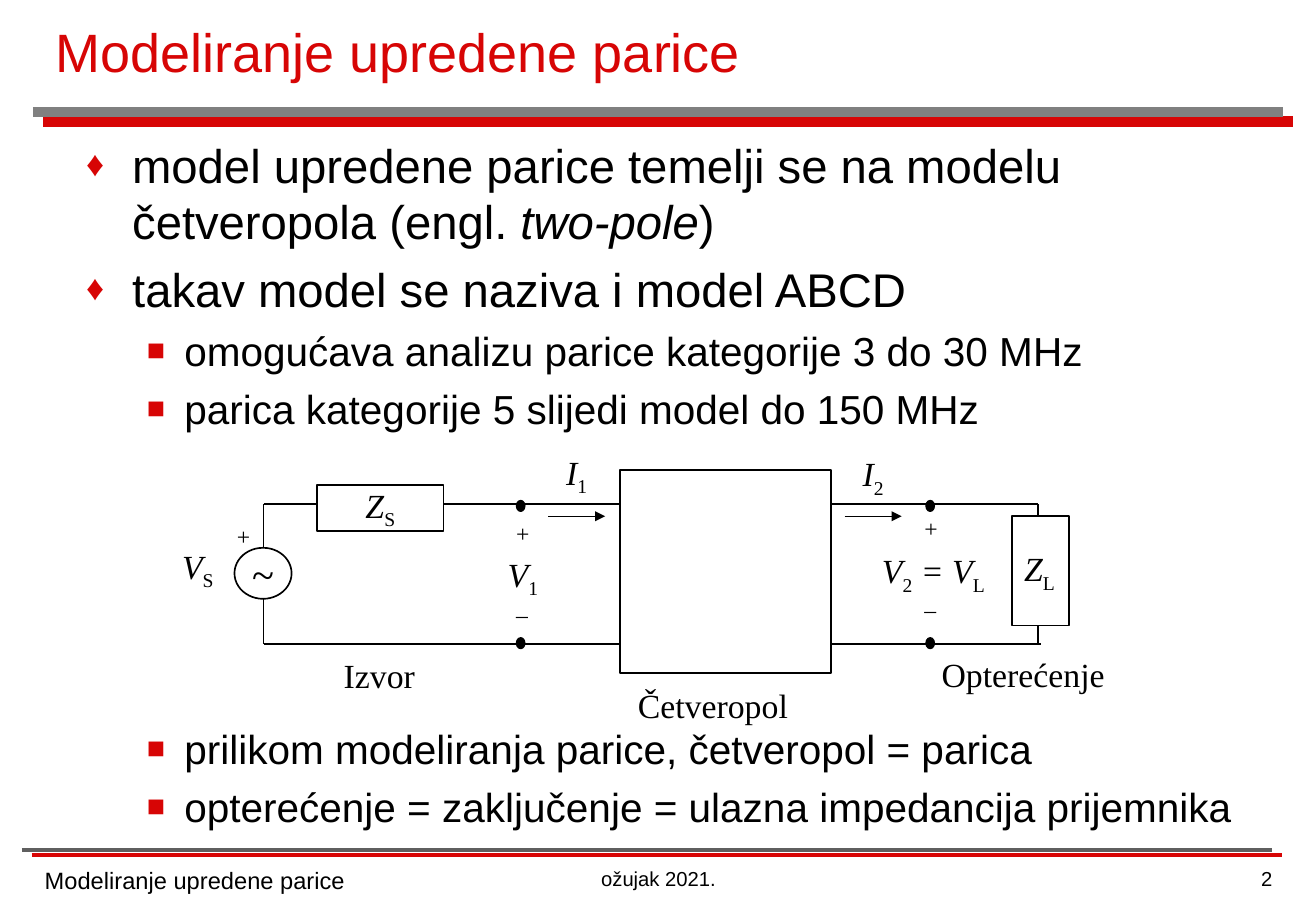
from dataclasses import dataclass

from lxml import etree
from pptx import Presentation
from pptx.dml.color import RGBColor
from pptx.enum.shapes import MSO_CONNECTOR, MSO_SHAPE
from pptx.enum.text import MSO_ANCHOR as Anchor, PP_ALIGN as Align
from pptx.oxml.ns import qn
from pptx.util import Pt

PX = 9144  # EMU per px, 100 px to the inch


@dataclass(frozen=True)
class Theme:
    red: str = "D70505"
    gray: str = "808080"
    dark_gray: str = "5F5F5F"
    black: str = "000000"
    white: str = "FFFFFF"
    sans: str = "Arial"
    serif: str = "Times New Roman"
    title: int = 32
    level_sizes: tuple = (28, 24)
    source: int = 24
    label: int = 20
    sign: int = 14
    footer: int = 14
    footer_small: int = 12


THEME = Theme()
# Each level: bullet, left margin, hanging indent, space before in points
LEVELS = (("♦", 38, 38, 6.4), ("■", 81, 31, 5.5))


def emu(*lengths):
    return [round(length * PX) for length in lengths]


def color(value):
    return RGBColor.from_string(value)


def add_runs(paragraph, runs, size, font=THEME.sans, ink=THEME.black):
    """Each run is (text, style); style is "", "italic" or "sub"."""
    for text, style in runs:
        run = paragraph.add_run()
        run.text = text
        run.font.name = font
        run.font.size = Pt(size)
        run.font.color.rgb = color(ink)
        run.font.italic = style == "italic"
        if style == "sub":
            run._r.get_or_add_rPr().set("baseline", "-25000")


def add_text(slide, box, runs, size, font=THEME.sans, ink=THEME.black,
             align=Align.LEFT, anchor=Anchor.TOP, wrap=True):
    frame = slide.shapes.add_textbox(*emu(*box)).text_frame
    frame.word_wrap = wrap
    frame.vertical_anchor = anchor
    frame.paragraphs[0].alignment = align
    add_runs(frame.paragraphs[0], runs, size, font, ink)


def add_line(slide, start, end, width=1, ink=THEME.black, arrow=False):
    line = slide.shapes.add_connector(MSO_CONNECTOR.STRAIGHT, *emu(*start, *end))
    line.line.color.rgb = color(ink)
    line.line.width = Pt(width)
    properties = line._element.spPr
    if arrow:
        outline = line.line._get_or_add_ln()
        etree.SubElement(outline, qn("a:tailEnd"), type="triangle")
    etree.SubElement(properties, qn("a:effectLst"))


def add_figure(slide, kind, box, fill=None, width=1, runs=(), size=THEME.label,
               align=Align.CENTER, wrap=True):
    shape = slide.shapes.add_shape(kind, *emu(*box))
    shape.shadow.inherit = False
    if fill:
        shape.fill.solid()
        shape.fill.fore_color.rgb = color(fill)
    else:
        shape.fill.background()
    shape.line.color.rgb = color(THEME.black)
    shape.line.width = Pt(width)
    frame = shape.text_frame
    frame.word_wrap = wrap
    frame.vertical_anchor = Anchor.MIDDLE
    frame.paragraphs[0].alignment = align
    add_runs(frame.paragraphs[0], runs, size, THEME.serif)


def add_double_rule(slide, left, top, length, width, ink, drop):
    # The red rule lies under the gray one, shifted right and down
    for right, down, rule_ink in ((8, drop, THEME.red), (0, 0, ink)):
        x, y = left + right, top + down
        add_line(slide, (x, y), (x + length, y), width, rule_ink)


def add_header(slide, box, title):
    left, top, width, height = box
    add_double_rule(slide, left, top + 92, width, 6, THEME.gray, 8)
    add_text(slide, (left + 9, top, 921, height), [(title, "")], THEME.title,
             ink=THEME.red, anchor=Anchor.MIDDLE)


def add_footer(slide, box, name, date, number):
    left, top, width, height = box
    add_double_rule(slide, left - 9, top - 8, width, 2.25, THEME.dark_gray, 4)
    for x, cell_width, text, size, align in (
            (0, 343, name, THEME.footer, Align.LEFT),
            (402, 226, date, THEME.footer_small, Align.CENTER),
            (804, 226, number, THEME.footer_small, Align.RIGHT)):
        add_text(slide, (left + x, top, cell_width, height), [(text, "")], size,
                 align=align)


def add_bullets(slide, box, items):
    frame = slide.shapes.add_textbox(*emu(*box)).text_frame
    frame.word_wrap = True
    for index, (level, runs) in enumerate(items):
        paragraph = frame.paragraphs[0] if index == 0 else frame.add_paragraph()
        bullet, margin, hanging, space = LEVELS[level]
        paragraph.level = level
        paragraph.space_before = Pt(space if index else 0)
        properties = paragraph._p.get_or_add_pPr()
        properties.set("marL", str(margin * PX))
        properties.set("indent", str(-hanging * PX))
        bullet_color = etree.SubElement(properties, qn("a:buClr"))
        etree.SubElement(bullet_color, qn("a:srgbClr"), val=THEME.red)
        etree.SubElement(properties, qn("a:buSzPct"), val="75000")
        etree.SubElement(properties, qn("a:buFont"), typeface=THEME.sans)
        etree.SubElement(properties, qn("a:buChar"), char=bullet)
        add_runs(paragraph, runs, THEME.level_sizes[level])


def symbol(letter, index):
    return [(letter, "italic"), (index, "sub")]


def add_circuit(slide, box):
    left, top, width, height = box

    def at(x, y, *extent):
        return (left + x, top + y, *extent)

    # Wires
    for start, end in (((77, 48), (714, 48)), ((77, 163), (717, 163)),
                       ((77, 48), (77, 84)), ((77, 126), (77, 163)),
                       ((714, 48), (714, 163))):
        add_line(slide, at(*start), at(*end))

    # Source, impedances and two-port
    rectangle, ellipse = MSO_SHAPE.RECTANGLE, MSO_SHAPE.OVAL
    add_figure(slide, ellipse, at(53, 84, 47, 42), runs=[("~", "")],
               size=THEME.source, wrap=False)
    add_figure(slide, rectangle, at(121, 32, 104, 38), THEME.white,
               runs=symbol("Z", "S"))
    add_figure(slide, rectangle, at(370, 20, 174, 167), THEME.white)
    add_figure(slide, rectangle, at(693, 58, 47, 90), THEME.white,
               runs=symbol("Z", "L"), align=Align.LEFT)

    # Ports: terminals, polarity signs and current arrows
    for dot_x, sign_x, sign_y, arrow_x in ((285, 275, 55, 311),
                                           (622, 611, 51, 555)):
        for dot_y in (45, 158):
            add_figure(slide, ellipse, at(dot_x, dot_y, 7, 9), THEME.black, 0.75)
        for sign, drop in (("+", 0), ("–", 67)):
            add_text(slide, at(sign_x, sign_y + drop, 36, 34), [(sign, "")],
                     THEME.sign, THEME.serif)
        add_line(slide, at(arrow_x, 58), at(arrow_x + 47, 58), 0.75, arrow=True)
    add_text(slide, at(45, 57, 31, 34), [("+", "")], THEME.sign, THEME.serif,
             anchor=Anchor.MIDDLE, wrap=False)

    # Labels
    load_voltage = symbol("V", "2") + [(" = V", "italic"), ("L", "sub")]
    for x, y, label_width, runs in (
            (0, 77, 48, symbol("V", "S")),
            (268, 84, 47, symbol("V", "1")),
            (576, 81, 108, load_voltage),
            (316, 0, 39, symbol("I", "1")),
            (560, 1, 39, symbol("I", "2")),
            (133, 167, 79, [("Izvor", "")]),
            (375, 192, 145, [("Četveropol", "")]),
            (625, 166, 156, [("Opterećenje", "")])):
        add_text(slide, at(x, y, label_width, 44), runs, THEME.label,
                 THEME.serif, wrap=False)


def main():
    presentation = Presentation()
    presentation.slide_width, presentation.slide_height = emu(1083, 750)
    slide = presentation.slides.add_slide(presentation.slide_layouts[6])
    topic = "Modeliranje upredene parice"

    add_header(slide, (27, 0, 1029, 84), topic)
    add_bullets(slide, (61, 107, 980, 260), [
        (0, [("model upredene parice temelji se na modelu četveropola (engl. ", ""),
             ("two-pole", "italic"), (")", "")]),
        (0, [("takav model se naziva i model ABCD", "")]),
        (1, [("omogućava analizu parice kategorije 3 do 30 MHz", "")]),
        (1, [("parica kategorije 5 slijedi model do 150 MHz", "")]),
    ])
    add_circuit(slide, (140, 367, 781, 236))
    add_bullets(slide, (61, 591, 980, 100), [
        (1, [("prilikom modeliranja parice, četveropol = parica", "")]),
        (1, [("opterećenje = zaključenje = ulazna impedancija prijemnika", "")]),
    ])
    add_footer(slide, (27, 708, 1029, 42), topic, "ožujak 2021.", "2")
    presentation.save("out.pptx")


if __name__ == "__main__":
    main()
